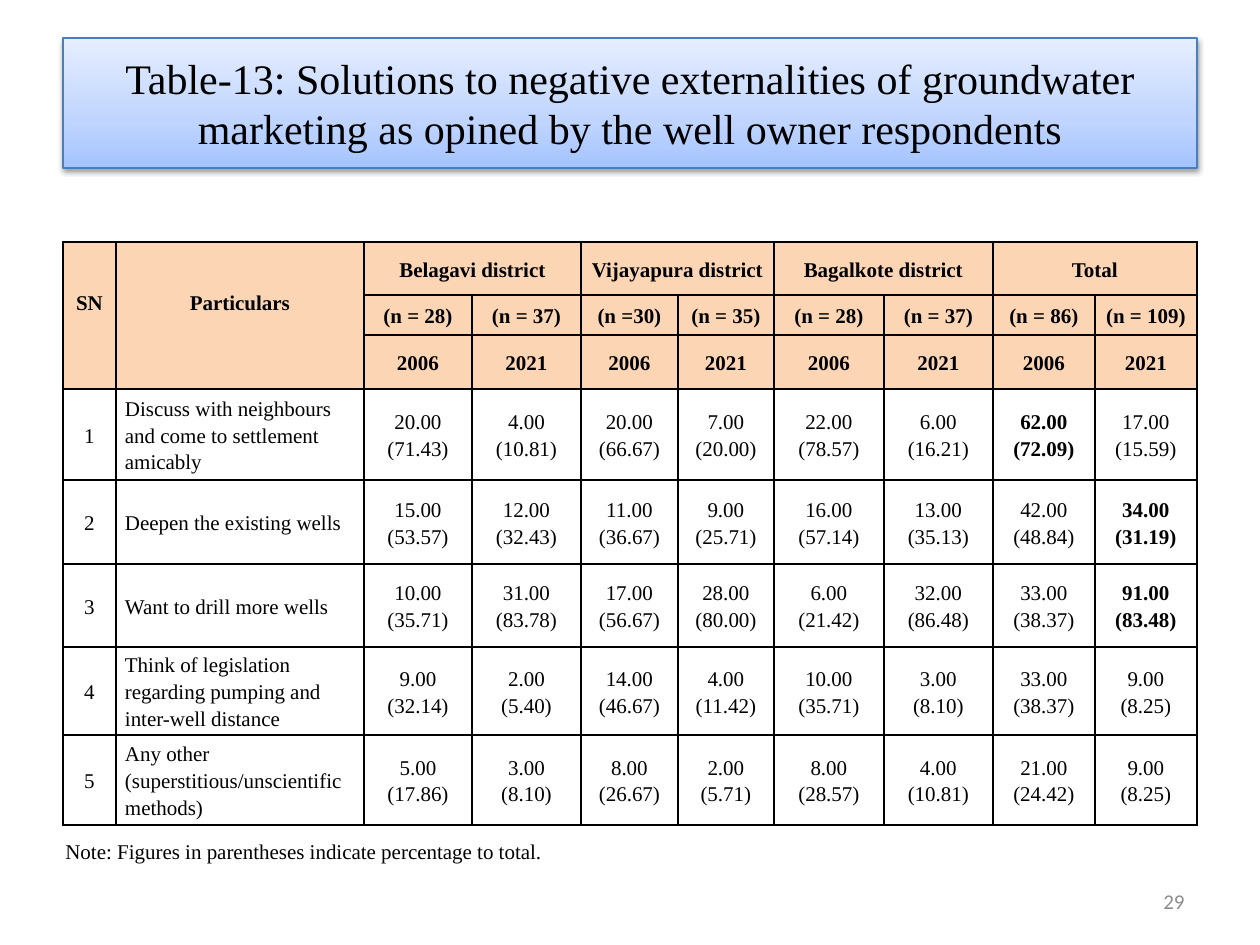
from dataclasses import dataclass

from pptx import Presentation
from pptx.dml.color import RGBColor as RGB
from pptx.enum.text import MSO_ANCHOR as Anchor, PP_ALIGN as Align
from pptx.oxml import parse_xml
from pptx.oxml.ns import nsdecls, qn
from pptx.util import Emu, Pt


@dataclass(frozen=True)
class Theme:
    serif: str = "Times New Roman"
    sans: str = "Calibri"
    ink: str = "000000"
    grey: str = "8C8C8C"
    head: str = "FCD5B5"
    edge: str = "4B7EBC"
    fade: tuple = ((0, "A4C4FF"), (35, "BFD4FF"), (100, "E6EEFF"))
    large: int = 24
    small: int = 12


LOOK = Theme()
COLS = [53, 248, 108, 109, 97, 96, 110, 109, 102, 102]
ROWS = [53, 40, 54, 91, 84, 83, 88, 90]
TOPS = ["Belagavi district", "Vijayapura district", "Bagalkote district", "Total"]
SIZES = ["(n = 28)", "(n = 37)", "(n =30)", "(n = 35)",
         "(n = 28)", "(n = 37)", "(n = 86)", "(n = 109)"]
YEARS = ["2006", "2021"] * len(TOPS)
DATA = [
    ("Discuss with neighbours and come to settlement amicably",
     "20.00 (71.43)", "4.00 (10.81)", "20.00 (66.67)", "7.00 (20.00)",
     "22.00 (78.57)", "6.00 (16.21)", "62.00 (72.09)", "17.00 (15.59)"),
    ("Deepen the existing wells",
     "15.00 (53.57)", "12.00 (32.43)", "11.00 (36.67)", "9.00 (25.71)",
     "16.00 (57.14)", "13.00 (35.13)", "42.00 (48.84)", "34.00 (31.19)"),
    ("Want to drill more wells",
     "10.00 (35.71)", "31.00 (83.78)", "17.00 (56.67)", "28.00 (80.00)",
     "6.00 (21.42)", "32.00 (86.48)", "33.00 (38.37)", "91.00 (83.48)"),
    ("Think of legislation regarding pumping and inter-well distance",
     "9.00 (32.14)", "2.00 (5.40)", "14.00 (46.67)", "4.00 (11.42)",
     "10.00 (35.71)", "3.00 (8.10)", "33.00 (38.37)", "9.00 (8.25)"),
    ("Any other (superstitious/unscientific methods)",
     "5.00 (17.86)", "3.00 (8.10)", "8.00 (26.67)", "2.00 (5.71)",
     "8.00 (28.57)", "4.00 (10.81)", "21.00 (24.42)", "9.00 (8.25)"),
]
BOLD = {(3, 8), (4, 9), (5, 9)}


def px(n):
    return Emu(round(n * 914400 / 126))


def style(frame, size, face, ink, align, bold=False, gap=None):
    for para in frame.paragraphs:
        para.alignment = align
        para.line_spacing = gap
        for run in para.runs:
            run.font.size = Pt(size)
            run.font.name = face
            run.font.bold = bold
            run.font.color.rgb = RGB.from_string(ink)


def add_title(slide, x, y, w, h):
    title = slide.shapes.title
    title.left, title.top, title.width, title.height = map(px, (x, y, w, h))
    frame = title.text_frame
    frame.text = ("Table-13: Solutions to negative externalities of groundwater "
                  "marketing as opined by the well owner respondents")
    frame.vertical_anchor = Anchor.MIDDLE
    style(frame, LOOK.large, LOOK.serif, LOOK.ink, Align.CENTER)
    title.fill.gradient()
    title.fill.gradient_angle = 90
    props = title._element.spPr
    stops = props.find(qn("a:gradFill")).find(qn("a:gsLst"))
    for stop in list(stops):
        stops.remove(stop)
    for pos, tint in LOOK.fade:
        stops.append(parse_xml(
            f'<a:gs {nsdecls("a")} pos="{pos * 1000}"><a:srgbClr val="{tint}"/></a:gs>'))
    title.line.color.rgb = RGB.from_string(LOOK.edge)
    title.line.width = Pt(0.75)
    props.append(parse_xml(
        f'<a:effectLst {nsdecls("a")}>'
        '<a:outerShdw blurRad="40000" dist="20000" dir="5400000" rotWithShape="0">'
        f'<a:srgbClr val="{LOOK.ink}"><a:alpha val="38000"/></a:srgbClr>'
        '</a:outerShdw></a:effectLst>'))


def add_edges(cell):
    props = cell._tc.get_or_add_tcPr()
    for side in "LRTB":
        props.append(parse_xml(
            f'<a:ln{side} {nsdecls("a")} w="12700"><a:solidFill>'
            f'<a:srgbClr val="{LOOK.ink}"/></a:solidFill></a:ln{side}>'))


def fill_cell(cell, row, col):
    head = row < 3
    add_edges(cell)
    if head:
        cell.fill.solid()
        cell.fill.fore_color.rgb = RGB.from_string(LOOK.head)
    else:
        cell.fill.background()
    cell.margin_left = cell.margin_right = px(9)
    cell.margin_top = 0
    cell.margin_bottom = px(27) if head and col < 2 else 0
    cell.vertical_anchor = Anchor.MIDDLE
    align = Align.LEFT if col == 1 and not head else Align.CENTER
    bold = head or (row, col) in BOLD
    style(cell.text_frame, LOOK.small, LOOK.serif, LOOK.ink, align, bold, 1.15)


def add_grid(slide, x, y, w, h):
    table = slide.shapes.add_table(
        len(ROWS), len(COLS), px(x), px(y), px(w), px(h)).table
    table.first_row = table.horz_banding = False
    for col, wide in zip(table.columns, COLS):
        col.width = px(wide)
    for row, high in zip(table.rows, ROWS):
        row.height = px(high)
    for col, name in enumerate(["SN", "Particulars"]):
        table.cell(0, col).merge(table.cell(2, col))
        table.cell(0, col).text = name
    for i, name in enumerate(TOPS):
        col = 2 + 2 * i
        table.cell(0, col).merge(table.cell(0, col + 1))
        table.cell(0, col).text = name
    for row, names in enumerate([SIZES, YEARS], 1):
        for col, name in enumerate(names, 2):
            table.cell(row, col).text = name
    for num, (name, *vals) in enumerate(DATA, 1):
        texts = [str(num), name] + [val.replace(" ", "\n") for val in vals]
        for col, text in enumerate(texts):
            table.cell(num + 2, col).text = text
    for row in range(len(ROWS)):
        for col in range(len(COLS)):
            fill_cell(table.cell(row, col), row, col)


def add_label(slide, x, y, w, h, text, face, ink, align, anchor):
    frame = slide.shapes.add_textbox(px(x), px(y), px(w), px(h)).text_frame
    frame.word_wrap = True
    frame.vertical_anchor = anchor
    frame.text = text
    style(frame, LOOK.small, face, ink, align)


def main():
    deck = Presentation()
    deck.slide_width, deck.slide_height = px(1260), px(945)
    slide = deck.slides.add_slide(deck.slide_layouts[5])
    add_title(slide, 63, 38, 1134, 130)
    add_grid(slide, 63, 242, sum(COLS), sum(ROWS))
    add_label(slide, 53, 832, 630, 38,
              "Note: Figures in parentheses indicate percentage to total.",
              LOOK.serif, LOOK.ink, Align.LEFT, Anchor.TOP)
    add_label(slide, 903, 876, 294, 50, "29",
              LOOK.sans, LOOK.grey, Align.RIGHT, Anchor.MIDDLE)
    deck.save("out.pptx")


if __name__ == "__main__":
    main()
